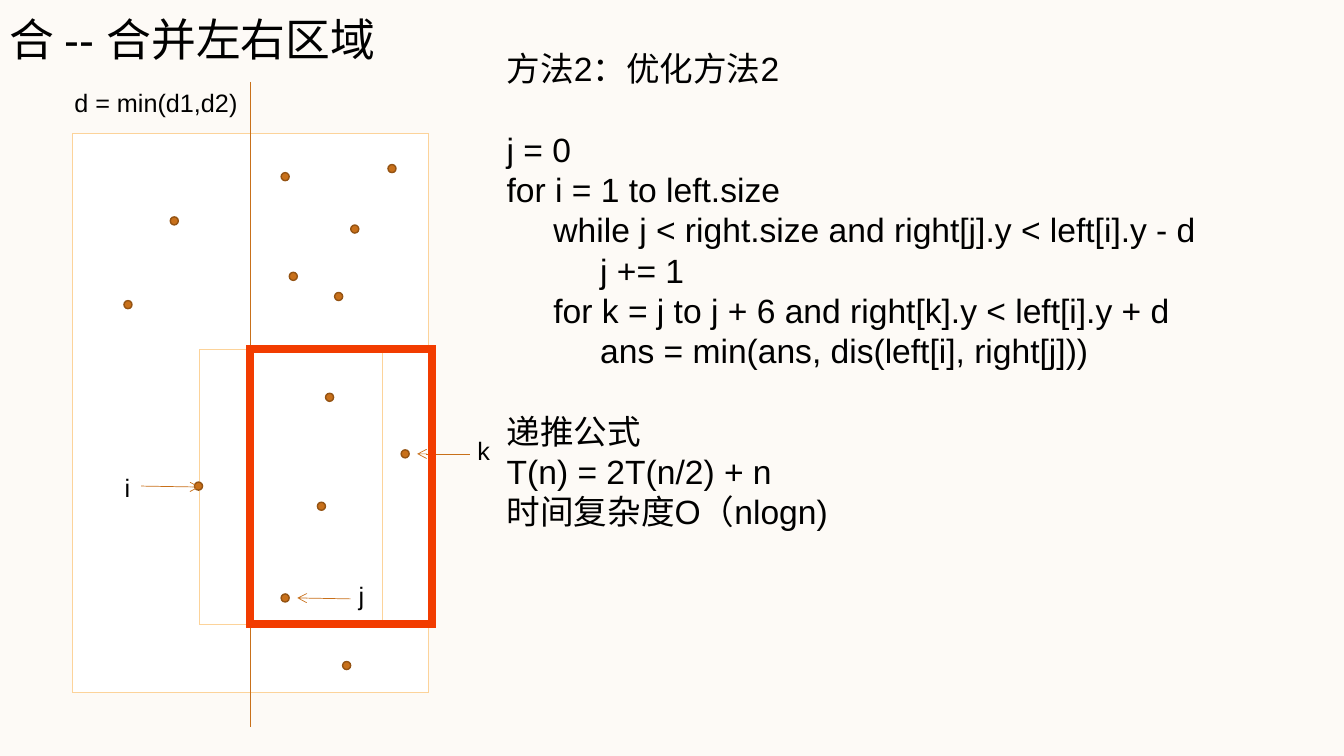
from lxml.etree import SubElement
from pptx import Presentation
from pptx.dml.color import RGBColor
from pptx.enum.shapes import MSO_CONNECTOR as Link, MSO_SHAPE as Kind
from pptx.enum.text import MSO_ANCHOR as Anchor, MSO_AUTO_SIZE as Fit, PP_ALIGN as Align
from pptx.oxml.ns import qn
from pptx.util import Pt

CREAM = RGBColor(0xFD, 0xFA, 0xF6)
WHITE = RGBColor(0xFF, 0xFF, 0xFF)
BLACK = RGBColor(0x00, 0x00, 0x00)
SAND = RGBColor(0xFC, 0xD3, 0x9A)
AMBER = RGBColor(0xC8, 0x70, 0x1A)
BROWN = RGBColor(0x94, 0x53, 0x13)
RED = RGBColor(0xF2, 0x3C, 0x00)

DOT = 5.76
STEP = 28.8   # line pitch of the method text
TAB = 33.4    # one level of code indent

# Text, indent level, blank lines above
CODE = [
    ("方法2：优化方法2", 0, 0),
    ("j = 0", 0, 1),
    ("for i = 1 to left.size", 0, 0),
    ("while j < right.size and right[j].y < left[i].y - d", 1, 0),
    ("j += 1", 2, 0),
    ("for k = j to j + 6 and right[k].y < left[i].y + d", 1, 0),
    ("ans = min(ans, dis(left[i], right[j]))", 2, 0),
    ("递推公式", 0, 1),
    ("T(n) = 2T(n/2) + n", 0, 0),
    ("时间复杂度O（nlogn)", 0, 0),
]

# Dot centres, measured from the top left corner of the plane
DOTS = [
    (228.2, 25.2), (72.7, 62.6), (151.9, 31), (177.8, 266.4), (39.6, 122.4),
    (151.9, 331.9), (190.1, 116.6), (201.6, 68.4), (157.7, 102.2),
    (195.8, 380.2), (183.6, 188.6), (237.6, 229), (90, 252),
]
# Name, label corner, arrow start, arrow end
MARKS = [
    ("i", (30.2, 238.3), (49, 252), (90.7, 252.7)),
    ("j", (197.3, 316.1), (198.7, 332.6), (160.6, 331.9)),
    ("k", (282.2, 212.4), (283.7, 229), (246.2, 229)),
]


def write(para, text, size):
    run = para.add_run()
    run.text = text
    run.font.name = "Arial"
    run.font.size = Pt(size)
    run.font.color.rgb = BLACK


def frame(slide, left, top, width, height):
    box = slide.shapes.add_textbox(Pt(left), Pt(top), Pt(width), Pt(height))
    box.text_frame.word_wrap = True
    return box.text_frame


def shape(slide, kind, left, top, width, height, fill, line, weight):
    item = slide.shapes.add_shape(kind, Pt(left), Pt(top), Pt(width), Pt(height))
    item.shadow.inherit = False
    if fill is None:
        item.fill.background()
    else:
        item.fill.solid()
        item.fill.fore_color.rgb = fill
    item.line.color.rgb = line
    item.line.width = Pt(weight)
    SubElement(item.line._get_or_add_ln(), qn("a:miter"), lim="800000")


def link(slide, start, end, arrow=False):
    item = slide.shapes.add_connector(Link.STRAIGHT, *map(Pt, start + end))
    item.line.color.rgb = AMBER
    item.line.width = Pt(0.5)
    if arrow:
        SubElement(item.line._get_or_add_ln(), qn("a:tailEnd"), type="arrow")
    SubElement(item._element.spPr, qn("a:effectLst"))


def head(slide, left, top, width, height):
    title = slide.shapes.title
    title.left, title.top = Pt(left), Pt(top)
    title.width, title.height = Pt(width), Pt(height)
    text = title.text_frame
    text.margin_left = Pt(6.6)
    text.word_wrap = True
    text.auto_size = Fit.NONE
    text.vertical_anchor = Anchor.TOP
    para = text.paragraphs[0]
    para.alignment = Align.LEFT
    para.line_spacing = Pt(38)
    write(para, "合 -- 合并左右区域", 32)


def method(slide, left, top, width, height):
    text = frame(slide, left, top, width, height)
    for row, (words, level, gap) in enumerate(CODE):
        para = text.add_paragraph() if row else text.paragraphs[0]
        para.line_spacing = Pt(STEP)
        para.space_before = Pt(gap * STEP)
        para._p.get_or_add_pPr().set("marL", str(Pt(level * TAB)))
        write(para, words, 24)


def plane(slide, left, top, width, height):
    """Draw the point set, its split line, the search strips and the i, j, k marks."""
    def at(x, y):
        return left + x, top + y

    mid, band = 126.7, (130.3, 196.6)
    shape(slide, Kind.RECTANGLE, left, top, width, height, WHITE, SAND, 1)
    link(slide, at(mid, -36.7), at(mid, height + 24.5))
    label = frame(slide, *at(-5.8, -36.5), 133.2, STEP)
    write(label.paragraphs[0], "d = min(d1,d2)", 18)
    shape(slide, Kind.RECTANGLE, *at(90.7, 154.1), *band, None, SAND, 0.5)
    for x, y in DOTS:
        corner = at(x - DOT / 2, y - DOT / 2)
        shape(slide, Kind.OVAL, *corner, DOT, DOT, AMBER, BROWN, 1)
    for name, spot, start, end in MARKS:
        link(slide, at(*start), at(*end), True)
        write(frame(slide, *at(*spot), 41, STEP).paragraphs[0], name, 18)
    shape(slide, Kind.RECTANGLE, *at(mid, 154.1), *band, None, RED, 5.5)


def main():
    deck = Presentation()
    deck.slide_width, deck.slide_height = Pt(960), Pt(540)
    slide = deck.slides.add_slide(deck.slide_layouts[5])
    back = slide.background.fill
    back.solid()
    back.fore_color.rgb = CREAM
    head(slide, 0, 5.3, 277.2, 46)
    method(slide, 354.8, 30.6, 536.4, 385.2)
    plane(slide, 51.8, 95.2, 254.2, 399.6)
    deck.save("out.pptx")


if __name__ == "__main__":
    main()
